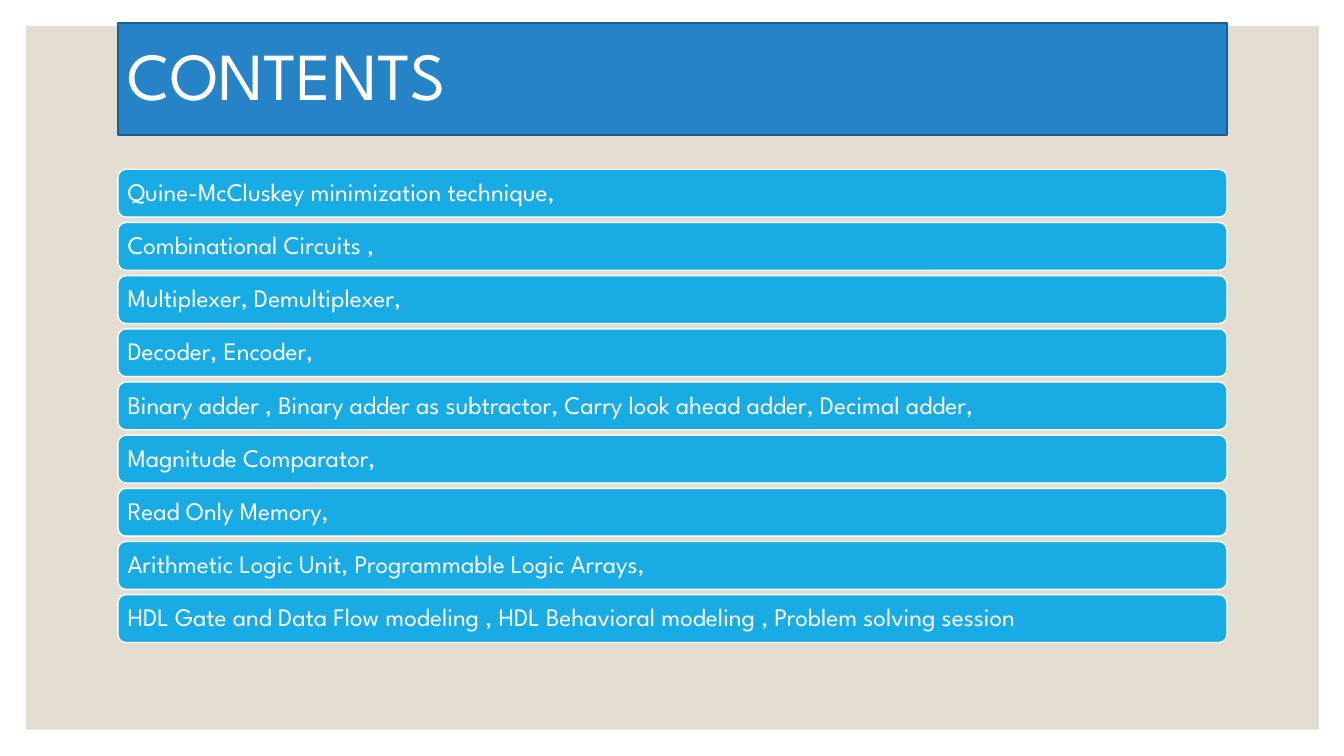
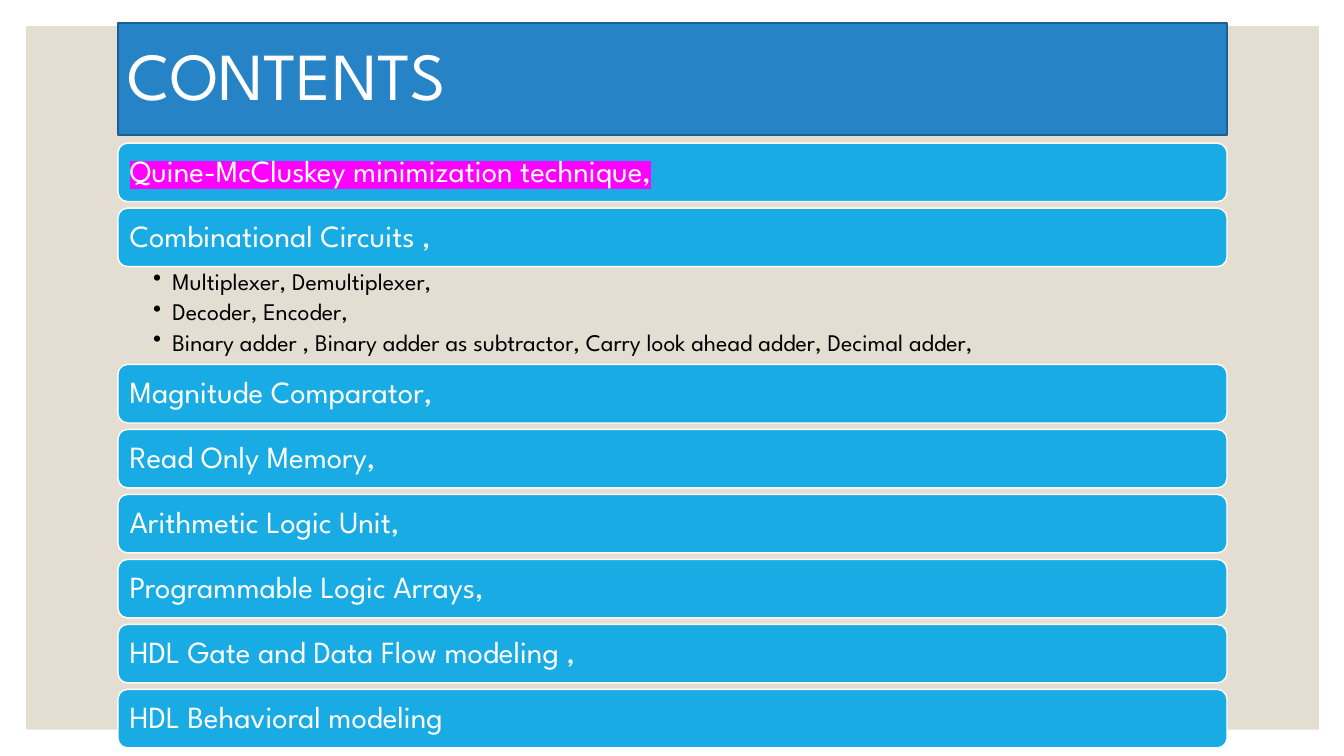
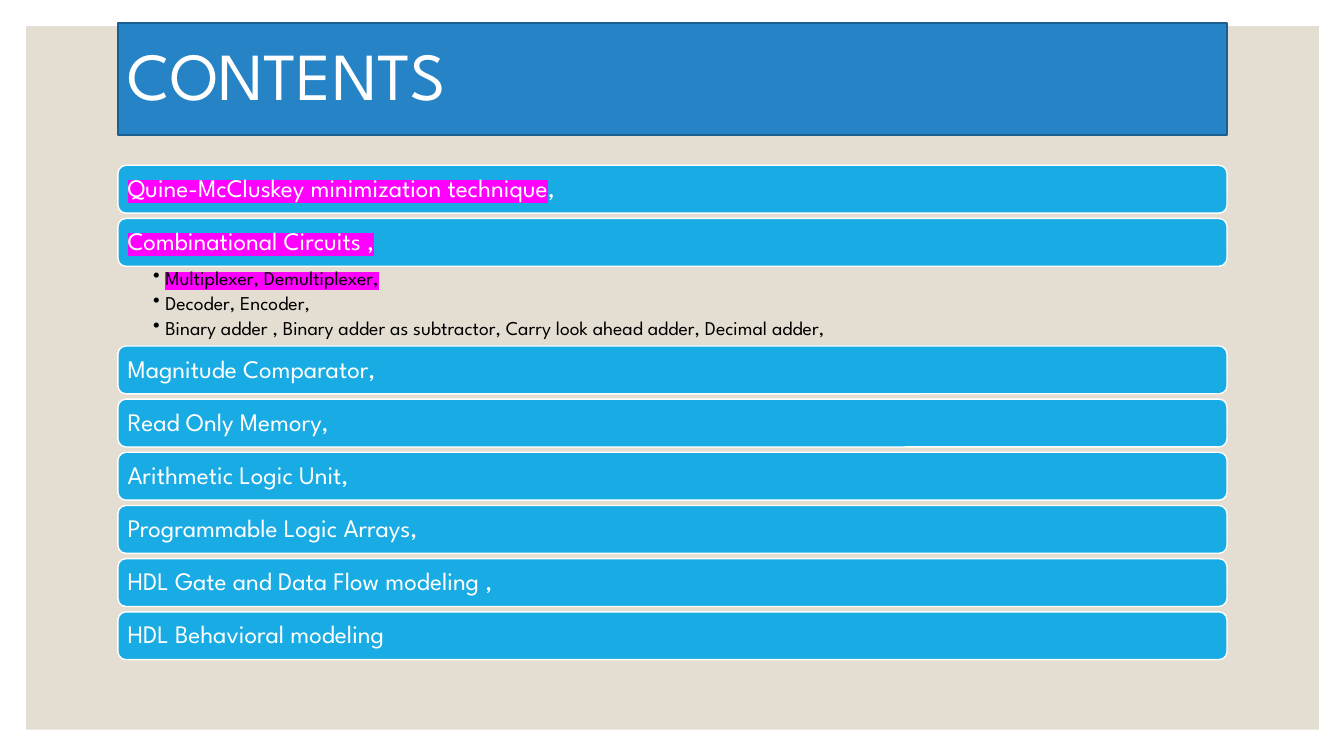
"""Build three contents slides for a digital logic course."""
from dataclasses import dataclass

from lxml.etree import SubElement
from pptx import Presentation
from pptx.dml.color import RGBColor
from pptx.enum.shapes import MSO_SHAPE as Shape
from pptx.enum.text import MSO_ANCHOR as Anchor, PP_ALIGN as Align
from pptx.oxml.ns import qn
from pptx.util import Inches, Pt


@dataclass(frozen=True)
class Theme:
    """Colours, type and shared measures."""
    font: str = "League Spartan"
    white: str = "FFFFFF"
    black: str = "000000"
    panel: str = "E3DED1"
    title: str = "2683C6"
    title_edge: str = "1B5F90"
    bar: str = "19ACE4"
    marker: str = "FF00FF"
    title_size: int = 48
    left: float = 1.17
    width: float = 11
    leading: float = 0.9


@dataclass(frozen=True)
class Topic:
    """A line of text that may start with a highlighted part."""
    plain: str = ""
    marked: str = ""


@dataclass(frozen=True)
class Bullets:
    """Sub-topics below a bar, with their measures."""
    topics: tuple
    size: int
    height: float
    hang: float
    pad: float


THEME = Theme()
QUINE = "Quine-McCluskey minimization technique"
CIRCUITS = "Combinational Circuits ,"
MULTIPLEXER = "Multiplexer, Demultiplexer,"
DECODER = "Decoder, Encoder,"
ADDERS = "Binary adder , Binary adder as subtractor, Carry look ahead adder, Decimal adder,"
COMPARATOR = "Magnitude Comparator,"
MEMORY = "Read Only Memory,"
UNIT = "Arithmetic Logic Unit,"
ARRAYS = "Programmable Logic Arrays,"
GATE = "HDL Gate and Data Flow modeling ,"
BEHAVIORAL = "HDL Behavioral modeling"


def plain(*texts):
    """Return topics without highlight."""
    return tuple(Topic(text) for text in texts)


def add_block(page, kind, place, fill, edge=None):
    """Add a filled preset shape, with a thin edge if a colour is given."""
    box = page.shapes.add_shape(kind, *map(Inches, place))
    box.shadow.inherit = False
    box.fill.solid()
    box.fill.fore_color.rgb = RGBColor.from_string(fill)
    if edge:
        box.line.color.rgb = RGBColor.from_string(edge)
        box.line.width = Pt(1)
    else:
        box.line.fill.background()
    return box


def set_frame(box, anchor, *insets):
    """Set wrapping, anchor and insets, and return the text frame."""
    frame = box.text_frame
    frame.word_wrap = True
    frame.vertical_anchor = anchor
    (frame.margin_left, frame.margin_top,
     frame.margin_right, frame.margin_bottom) = map(Inches, insets)
    return frame


def write_topic(para, topic, size, color):
    """Write a topic into a paragraph."""
    para.alignment = Align.LEFT
    para.line_spacing = THEME.leading
    para.font.size = Pt(size)
    para.font.name = THEME.font
    para.font.color.rgb = RGBColor.from_string(color)
    if topic.marked:
        span = para.add_run()
        span.text = topic.marked
        highlight = SubElement(span._r.get_or_add_rPr(), qn("a:highlight"))
        SubElement(highlight, qn("a:srgbClr"), val=THEME.marker)
    if topic.plain:
        para.add_run().text = topic.plain


def set_bullet(para, hang):
    """Give a paragraph a hanging round bullet."""
    props = para._p.get_or_add_pPr()
    props.set("marL", str(Inches(hang)))
    props.set("indent", str(-Inches(hang)))
    color = SubElement(props, qn("a:buClr"))
    SubElement(color, qn("a:srgbClr"), val=THEME.black)
    SubElement(props, qn("a:buChar"), char="•")


def add_bar(page, topic, top, height, size):
    """Add a rounded bar with one topic."""
    place = (THEME.left, top, THEME.width, height)
    box = add_block(page, Shape.ROUNDED_RECTANGLE, place, THEME.bar, THEME.white)
    frame = set_frame(box, Anchor.MIDDLE, *[size / 250] * 4)
    write_topic(frame.paragraphs[0], topic, size, THEME.white)


def add_bullets(page, bullets, top):
    """Add the bulleted sub-topics."""
    place = (THEME.left, top, THEME.width, bullets.height)
    box = page.shapes.add_textbox(*map(Inches, place))
    frame = set_frame(box, Anchor.TOP, 0.35, bullets.pad, bullets.size / 100, bullets.pad)
    for index, topic in enumerate(bullets.topics):
        para = frame.add_paragraph() if index else frame.paragraphs[0]
        para.level = 1
        set_bullet(para, bullets.hang)
        if index:
            para.space_before = Pt(0.2 * bullets.size)
        write_topic(para, topic, bullets.size, THEME.black)


def add_contents(deck, top, size, entries):
    """Add a contents page whose bars scale with the type size."""
    page = deck.slides.add_slide(deck.slide_layouts[6])
    add_block(page, Shape.RECTANGLE, (0.26, 0.26, 12.82, 6.98), THEME.panel)
    place = (THEME.left, 0.23, THEME.width, 1.11)
    title = add_block(page, Shape.RECTANGLE, place, THEME.title, THEME.title_edge)
    frame = set_frame(title, Anchor.MIDDLE, 0.1, 0.05, 0.1, 0.05)
    write_topic(frame.paragraphs[0], Topic("CONTENTS"), THEME.title_size, THEME.white)
    height, gap = 1.9 * size / 72, 0.21 * size / 72
    for entry in entries:
        if isinstance(entry, Bullets):
            top -= gap
            add_bullets(page, entry, top)
            top += entry.height
        else:
            add_bar(page, entry, top, height, size)
            top += height + gap


def main():
    """Build and save the deck."""
    deck = Presentation()
    deck.slide_width, deck.slide_height = Inches(13.33), Inches(7.5)
    closing = plain(COMPARATOR, MEMORY, UNIT, ARRAYS, GATE, BEHAVIORAL)
    add_contents(deck, 1.68, 18, plain(
        f"{QUINE},", CIRCUITS, MULTIPLEXER, DECODER, ADDERS, COMPARATOR, MEMORY,
        f"{UNIT} {ARRAYS}", f"{GATE} {BEHAVIORAL} , Problem solving session"))
    add_contents(deck, 1.42, 22, (
        Topic(marked=f"{QUINE},"), Topic(CIRCUITS),
        Bullets(plain(MULTIPLEXER, DECODER, ADDERS), 17, 0.97, 0.19, 0.03),
        *closing))
    add_contents(deck, 1.64, 18, (
        Topic(",", marked=QUINE), Topic(marked=CIRCUITS),
        Bullets((Topic(marked=MULTIPLEXER), *plain(DECODER, ADDERS)), 14, 0.79, 0.12, 0.02),
        *closing))
    deck.save("out.pptx")


if __name__ == "__main__":
    main()
